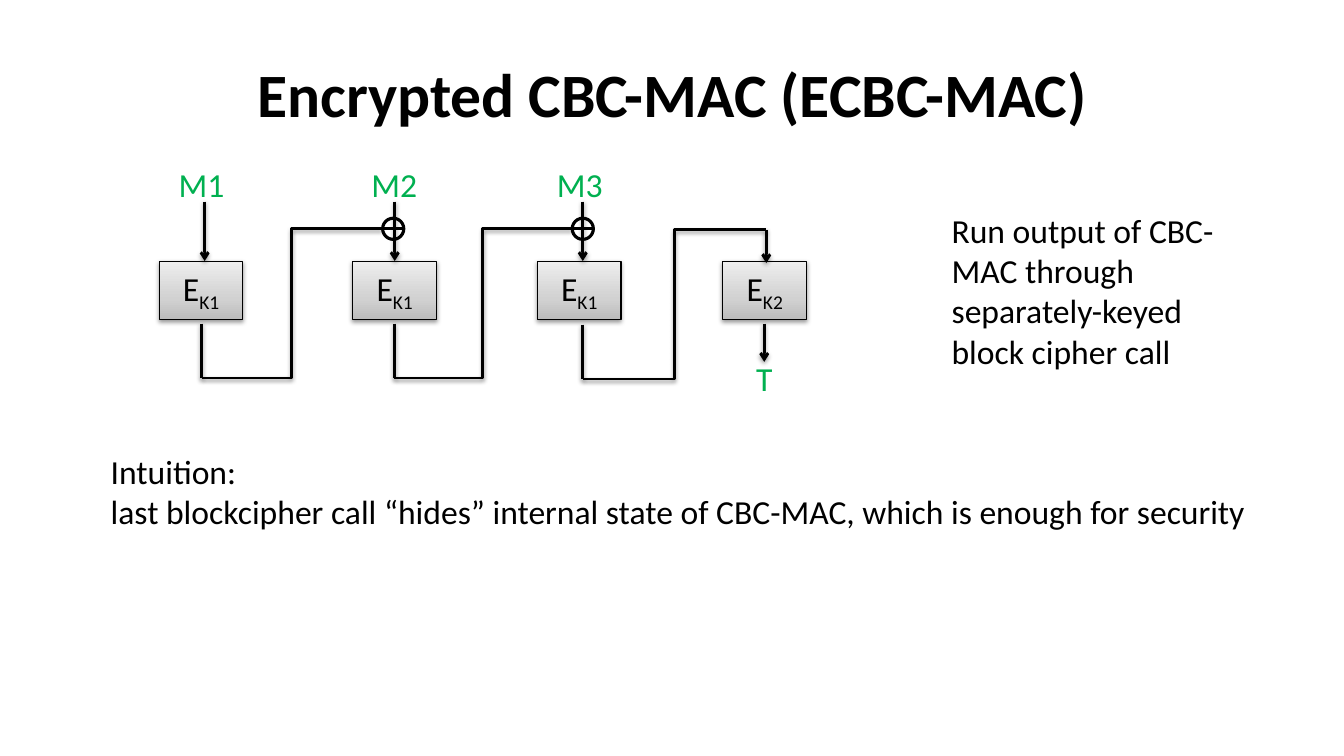
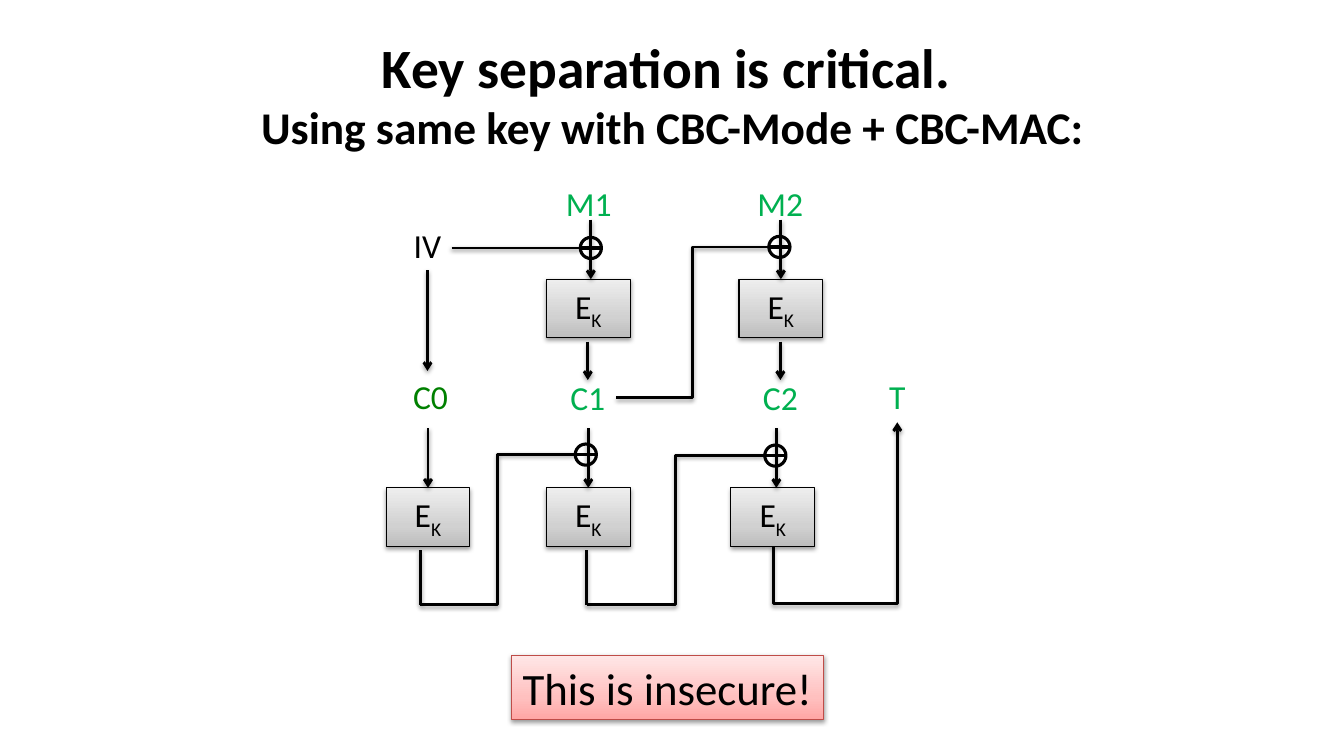
from copy import deepcopy

from lxml import etree
from pptx import Presentation
from pptx.dml.color import RGBColor
from pptx.enum.shapes import MSO_CONNECTOR, MSO_SHAPE
from pptx.enum.text import MSO_ANCHOR, MSO_AUTO_SIZE, PP_ALIGN
from pptx.oxml import parse_xml
from pptx.oxml.ns import nsdecls, qn
from pptx.util import Inches, Pt

STRAIGHT = MSO_CONNECTOR.STRAIGHT
ELBOW = MSO_CONNECTOR.ELBOW
RECTANGLE = MSO_SHAPE.RECTANGLE
OVAL = MSO_SHAPE.OVAL
CENTER = PP_ALIGN.CENTER
LEFT = PP_ALIGN.LEFT
MIDDLE = MSO_ANCHOR.MIDDLE
NO_AUTOFIT = MSO_AUTO_SIZE.NONE

FONT = "Calibri"
BLACK = "000000"
GREEN = "00B050"
DARK_GREEN = "008000"
RED = "BF4C48"
GRAYS = ("BDBDBD", "D1D1D1", "EEEEEE")
PINKS = ("FFA6A5", "FFC0BF", "FFE7E7")
STOPS = (0, 0.35, 1)
BOX_WIDTH, BOX_HEIGHT = 0.83, 0.58
XOR_SIZE = 0.21
STUB = 0.54
LABEL_WIDTH, LABEL_HEIGHT = 0.66, 0.5
SHADOW = (
    f'<a:effectLst {nsdecls("a")}>'
    '<a:outerShdw blurRad="40000" dist="20000" dir="5400000" rotWithShape="0">'
    '<a:srgbClr val="000000"><a:alpha val="38000"/></a:srgbClr>'
    "</a:outerShdw></a:effectLst>"
)
NO_SHADOW = f'<a:effectLst {nsdecls("a")}/>'


def write_text(paragraph, text, size=24, color=BLACK, bold=False, align=CENTER, baseline=0):
    paragraph.alignment = align
    run = paragraph.add_run()
    run.text = text
    run.font.name = FONT
    run.font.size = Pt(size)
    run.font.bold = bold
    run.font.color.rgb = RGBColor.from_string(color)
    if baseline:
        run.font._element.set("baseline", str(baseline * 1000))


def draw_line(slide, start, end, kind=STRAIGHT, width=2, arrow=False, effect=SHADOW):
    points = [Inches(value) for value in (*start, *end)]
    connector = slide.shapes.add_connector(kind, *points)
    connector.line.color.rgb = RGBColor.from_string(BLACK)
    connector.line.width = Pt(width)
    if arrow:
        line_element = connector.line._get_or_add_ln()
        etree.SubElement(line_element, qn("a:tailEnd"), type="arrow")
    connector._element.spPr.append(parse_xml(effect))
    return connector


diagrams = [
    {
        "title": [("Encrypted CBC-MAC (ECBC-MAC)", 44)],
        "boxes": [(1.58, 2.59, "K1"), (3.5, 2.59, "K1"), (5.33, 2.59, "K1"), (7.17, 2.59, "K2")],
        "labels": [
            ("M1", 2, 1.58, GREEN),
            ("M2", 3.91, 1.58, GREEN),
            ("M3", 5.75, 1.58, GREEN),
            ("T", 7.58, 3.5, GREEN),
        ],
        "arrows": [
            (2.03, 2, 2.59),
            (3.9, 2, 2.59),
            (5.78, 2, 2.59),
            (7.6, 2.28, 2.61),
            (7.58, 3.21, 3.59),
        ],
        "xors": [(3.9, 2.27), (5.78, 2.27)],
        "feedbacks": [
            (2, 3.75, 3.79, 2.27),
            (3.91, 3.75, 5.67, 2.27),
            (5.78, 3.76, 7.6, 2.28),
        ],
    },
    {
        "title": [
            ("Key separation is critical. ", 39.6),
            ("Using same key with CBC-Mode + CBC-MAC:", 32.4),
        ],
        "boxes": [
            (5.42, 2.77, "K"),
            (7.33, 2.77, "K"),
            (3.83, 4.84, "K"),
            (5.42, 4.84, "K"),
            (7.25, 4.84, "K"),
        ],
        "labels": [
            ("M1", 5.84, 1.77, GREEN),
            ("M2", 7.74, 1.77, GREEN),
            ("IV", 4.24, 2.18, BLACK),
            ("C0", 4.27, 3.68, DARK_GREEN),
            ("C1", 5.83, 3.69, GREEN),
            ("C2", 7.74, 3.69, GREEN),
            ("T", 8.9, 3.68, GREEN),
        ],
        "arrows": [
            (5.86, 2.18, 2.77),
            (7.73, 2.18, 2.77),
            (5.83, 3.39, 3.77),
            (7.74, 3.39, 3.77),
            (4.24, 2.68, 3.68),
            (4.25, 4.25, 4.84),
            (5.82, 4.25, 4.84),
            (7.7, 4.25, 4.84),
        ],
        "xors": [(5.86, 2.46), (7.73, 2.45), (5.81, 4.51), (7.69, 4.52)],
        "feedbacks": [(4.17, 6, 5.7, 4.51), (5.82, 6, 7.58, 4.52)],
    },
]

presentation = Presentation()
presentation.slide_width = Inches(13.33)
presentation.slide_height = Inches(7.5)

for diagram in diagrams:
    slide = presentation.slides.add_slide(presentation.slide_layouts[5])
    title = slide.shapes.title
    title.left, title.top = Inches(0.67), Inches(0.3)
    title.width, title.height = Inches(12), Inches(1.25)
    title.text_frame.auto_size = NO_AUTOFIT
    title.text_frame.vertical_anchor = MIDDLE
    title_paragraph = title.text_frame.paragraphs[0]
    for index, (text, size) in enumerate(diagram["title"]):
        if index:
            title_paragraph.add_line_break()
        write_text(title_paragraph, text, size=size, bold=True)

    panels = [
        (left, top, BOX_WIDTH, BOX_HEIGHT, [("E", 24, 0), (key, 24, -25)], GRAYS, BLACK)
        for left, top, key in diagram["boxes"]
    ]
    if diagram is diagrams[-1]:
        panels.append((5.07, 6.5, 3.1, 0.64, [("This is insecure!", 32, 0)], PINKS, RED))
    boxes = []
    for left, top, width, height, parts, gradient, outline in panels:
        box = slide.shapes.add_shape(
            RECTANGLE, Inches(left), Inches(top), Inches(width), Inches(height)
        )
        box.fill.gradient()
        stop_list = box._element.spPr.find(".//" + qn("a:gsLst"))
        stop_list.append(deepcopy(stop_list[-1]))
        for stop, position, color in zip(box.fill.gradient_stops, STOPS, gradient):
            stop.position = position
            stop.color.rgb = RGBColor.from_string(color)
        box.fill.gradient_angle = 90
        box.line.color.rgb = RGBColor.from_string(outline)
        box.line.width = Pt(0.75)
        box._element.spPr.append(parse_xml(SHADOW))
        box.text_frame.word_wrap = False
        box.text_frame.vertical_anchor = MIDDLE
        for text, size, baseline in parts:
            write_text(box.text_frame.paragraphs[0], text, size=size, baseline=baseline)
        boxes.append(box)

    for text, center, top, color in diagram["labels"]:
        label = slide.shapes.add_textbox(
            Inches(center - LABEL_WIDTH / 2), Inches(top), Inches(LABEL_WIDTH), Inches(LABEL_HEIGHT)
        )
        label.text_frame.word_wrap = False
        write_text(label.text_frame.paragraphs[0], text, color=color)

    for x, top, bottom in diagram["arrows"]:
        arrow = draw_line(slide, (x, top), (x, bottom), arrow=True)
        for box in boxes:
            offset = abs(box.left + box.width // 2 - arrow.end_x)
            if offset <= Inches(0.02) and abs(box.top - arrow.end_y) <= Inches(0.01):
                arrow.end_connect(box, 0)
                arrow.begin_x = arrow.end_x

    for x, y in diagram["xors"]:
        radius = XOR_SIZE / 2
        circle = slide.shapes.add_shape(
            OVAL, Inches(x - radius), Inches(y - radius), Inches(XOR_SIZE), Inches(XOR_SIZE)
        )
        circle.shadow.inherit = False
        circle.fill.background()
        circle.line.color.rgb = RGBColor.from_string(BLACK)
        circle.line.width = Pt(2.25)
        draw_line(slide, (x - radius, y), (x + radius, y), width=2.25, effect=NO_SHADOW)

    for start_x, start_y, end_x, end_y in diagram["feedbacks"]:
        draw_line(slide, (start_x, start_y - STUB), (start_x, start_y))
        draw_line(slide, (start_x, start_y), (end_x, end_y), kind=ELBOW)

ecbc_slide, key_slide = presentation.slides

remarks = [
    (9.34, 2.03, 3.27, 1.72, True,
     ["Run output of CBC-MAC through separately-keyed block cipher call"]),
    (1, 4.42, 11.63, 0.91, False,
     ["Intuition:",
      "last blockcipher call “hides” internal state of CBC-MAC, which is enough for security"]),
]
for left, top, width, height, wrap, lines in remarks:
    remark = ecbc_slide.shapes.add_textbox(
        Inches(left), Inches(top), Inches(width), Inches(height)
    )
    frame = remark.text_frame
    frame.word_wrap = wrap
    for index, text in enumerate(lines):
        paragraph = frame.add_paragraph() if index else frame.paragraphs[0]
        write_text(paragraph, text, align=LEFT)

draw_line(key_slide, (4.48, 2.46), (5.75, 2.46))
draw_line(key_slide, (6.11, 3.94), (7.62, 2.45), kind=ELBOW)

tag_arrow = draw_line(key_slide, (8.9, 5.42), (7.67, 4.19), kind=ELBOW, arrow=True)
tag_properties = tag_arrow._element.spPr
tag_properties.find(qn("a:xfrm")).set("rot", "5400000")
adjustments = tag_properties.find(".//" + qn("a:avLst"))
etree.SubElement(adjustments, qn("a:gd"), name="adj1", fmla="val -46500")

presentation.save("out.pptx")
